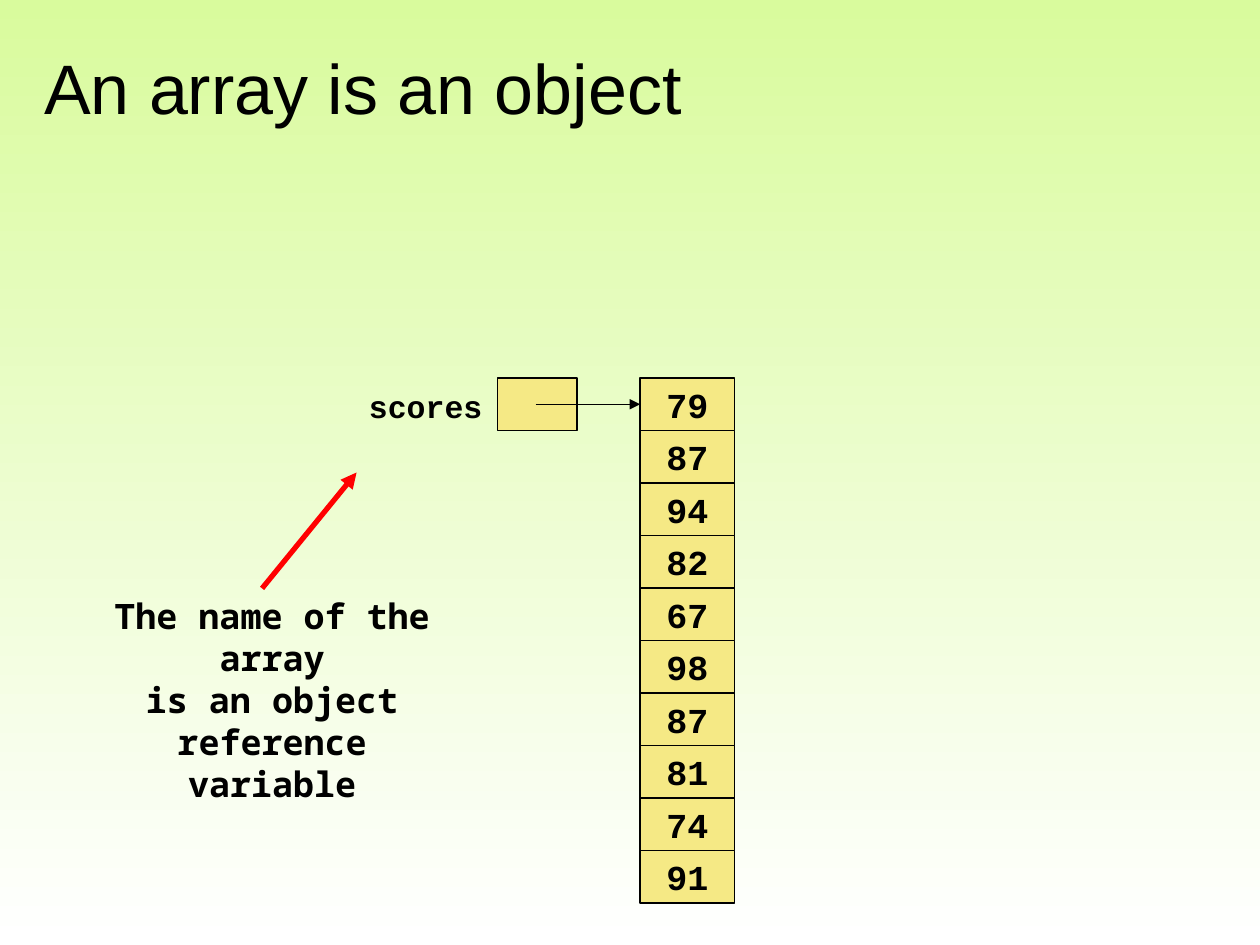
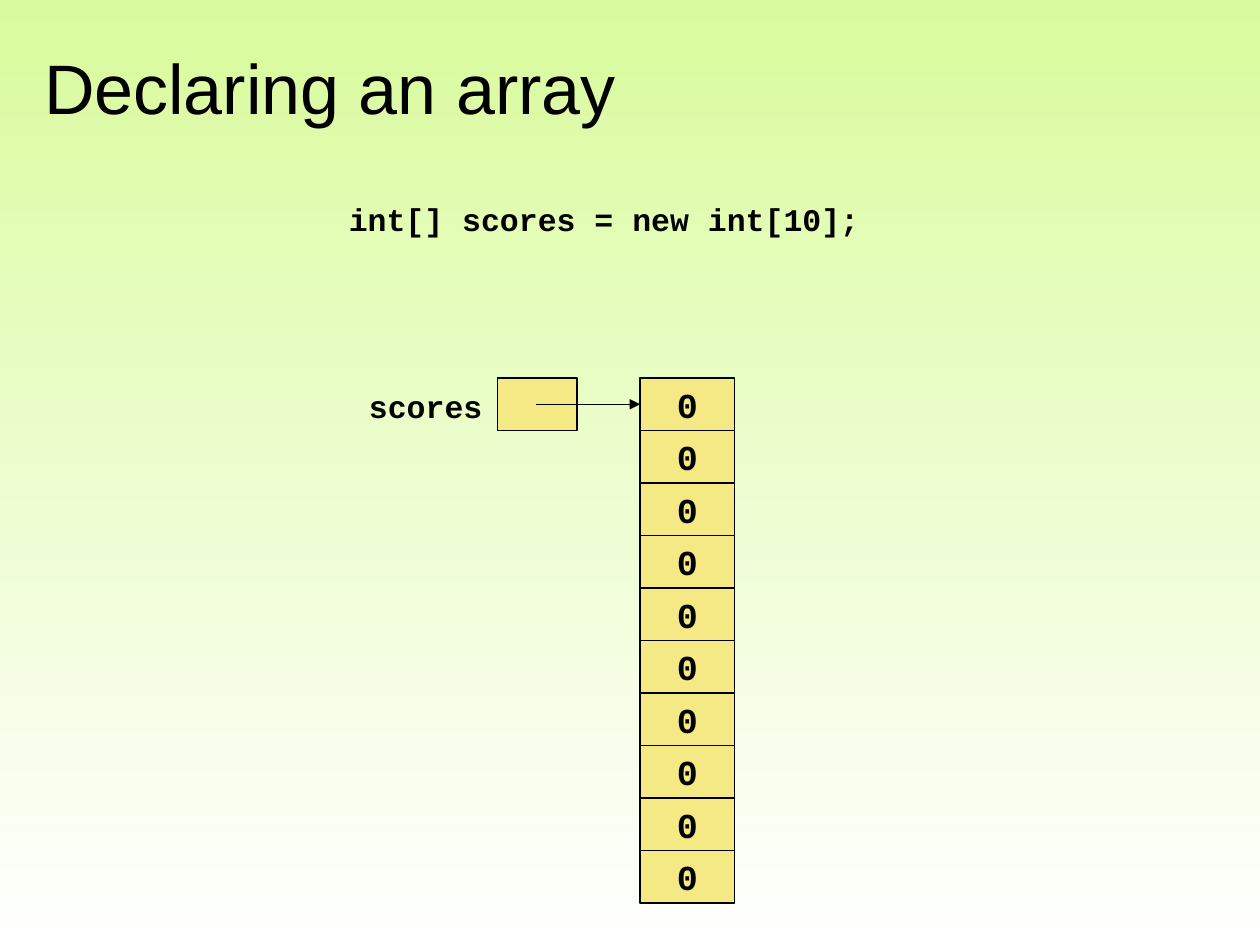
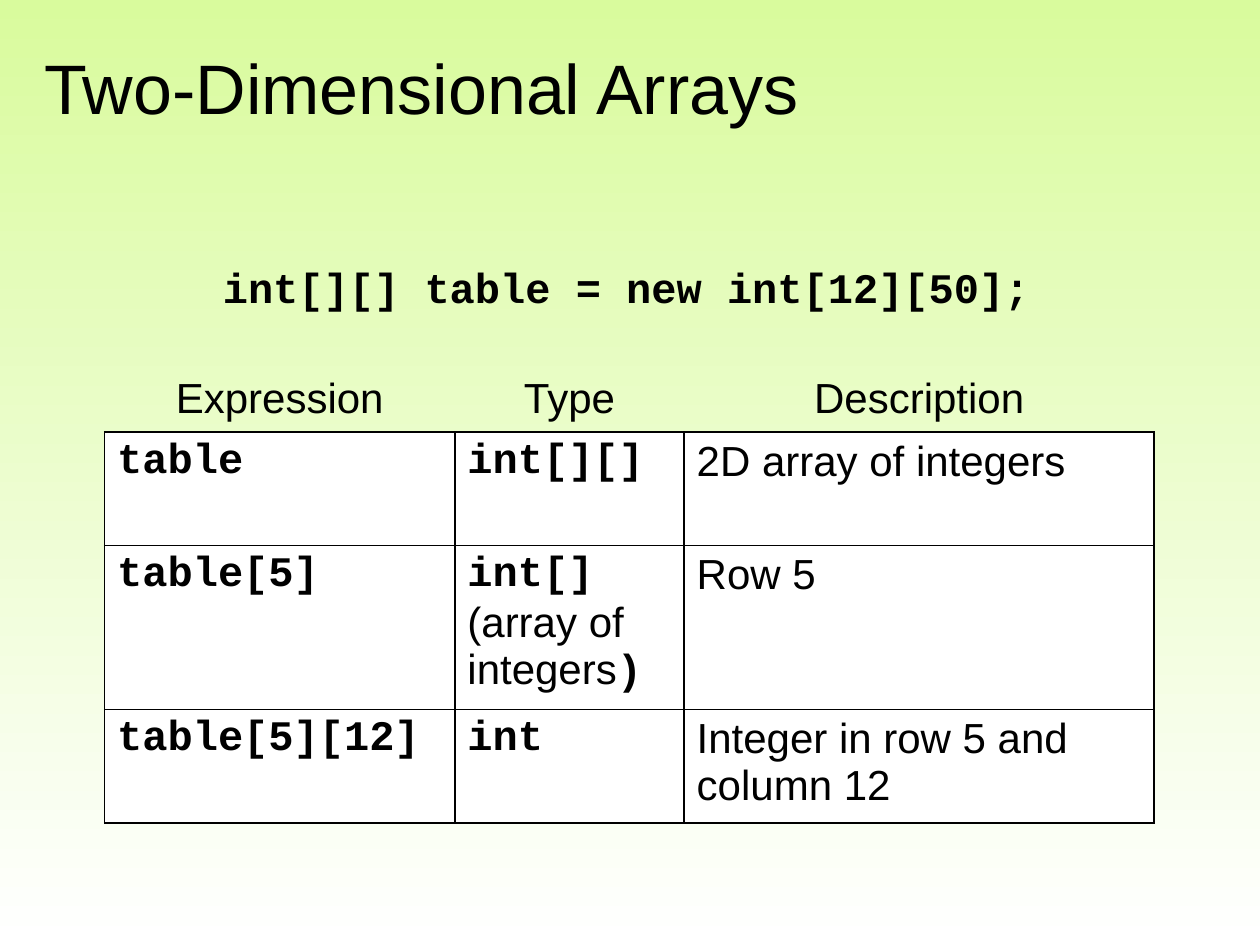
from lxml.etree import SubElement
from pptx import Presentation
from pptx.dml.color import RGBColor
from pptx.enum.shapes import MSO_CONNECTOR as CONNECTOR, MSO_SHAPE as SHAPE
from pptx.enum.text import MSO_ANCHOR as ANCHOR, MSO_AUTO_SIZE as AUTO_SIZE, PP_ALIGN as ALIGN
from pptx.oxml.ns import qn
from pptx.util import Inches, Pt

BLACK = RGBColor(0x00, 0x00, 0x00)
WHITE = RGBColor(0xFF, 0xFF, 0xFF)
RED = RGBColor(0xFF, 0x00, 0x00)
LIME = RGBColor(0xD9, 0xFB, 0x9D)
SAND = RGBColor(0xF5, 0xE9, 0x85)
SANS, CODE, MONO = "Arial", "Courier New", "Noto Sans Mono"


def write(frame, *paragraphs, font=CODE, size=20, align=ALIGN.LEFT, anchor=ANCHOR.TOP, wrap=False):
    """Fill a frame; a paragraph is a string or a list of (text, font) spans. All but Arial is bold."""
    frame.word_wrap = wrap
    frame.vertical_anchor = anchor
    for index, content in enumerate(paragraphs):
        para = frame.add_paragraph() if index else frame.paragraphs[0]
        para.alignment = align
        spans = [(content, font)] if isinstance(content, str) else content
        for text, span_font in spans:
            span = para.add_run()
            span.text = text
            span.font.name = span_font
            span.font.size = Pt(size)
            span.font.bold = span_font != SANS
            span.font.color.rgb = BLACK


def add_arrow(page, start, end, color, width):
    arrow = page.shapes.add_connector(CONNECTOR.STRAIGHT, *start, *end)
    arrow.line.color.rgb = color
    arrow.line.width = Pt(width)
    SubElement(arrow.line._get_or_add_ln(), qn("a:tailEnd"), type="triangle")
    SubElement(arrow._element.spPr, qn("a:effectLst"))
    return arrow


deck = Presentation()
deck.slide_width, deck.slide_height = Inches(10), Inches(7.5)
UNIT = deck.slide_width // 1000
ROW = deck.slide_height // 18
ARRAY_LEFT, ARRAY_TOP = 508 * UNIT, 300 * UNIT

# Shared background
background = deck.slide_master.background.fill
background.gradient()
background.gradient_angle = 270
for stop, position, color in zip(background.gradient_stops, (0, 1), (LIME, WHITE)):
    stop.position = position
    stop.color.rgb = color

# Pages and titles
pages = []
for heading in ("An array is an object", "Declaring an array", "Two-Dimensional Arrays"):
    page = deck.slides.add_slide(deck.slide_layouts[5])
    title = page.shapes.title
    title.left, title.top, title.width, title.height = 25 * UNIT, 30 * UNIT, 950 * UNIT, 78 * UNIT
    write(title.text_frame, heading, font=SANS, size=40, anchor=ANCHOR.MIDDLE, wrap=True)
    title.text_frame.auto_size = AUTO_SIZE.NONE
    pages.append(page)
object_page, declaring_page, table_page = pages

# The scores variable and the array it refers to
scores = (79, 87, 94, 82, 67, 98, 87, 81, 74, 91)
for page, values in ((object_page, scores), (declaring_page, [0] * 10)):
    boxes = [page.shapes.add_shape(SHAPE.RECTANGLE, 395 * UNIT, ARRAY_TOP, 63 * UNIT, ROW)]
    for index, value in enumerate(values):
        box = page.shapes.add_shape(
            SHAPE.RECTANGLE, ARRAY_LEFT, ARRAY_TOP + index * ROW, 75 * UNIT, ROW)
        write(box.text_frame, str(value), align=ALIGN.CENTER, anchor=ANCHOR.MIDDLE)
        boxes.append(box)
    for box in boxes:
        box.shadow.inherit = False
        box.fill.solid()
        box.fill.fore_color.rgb = SAND
        box.line.color.rgb = BLACK
        box.line.width = Pt(0.75)
    label = page.shapes.add_textbox(283 * UNIT, 302 * UNIT, 110 * UNIT, 40 * UNIT)
    write(label.text_frame, "scores", size=18)
    middle = ARRAY_TOP + ROW // 2
    reference = add_arrow(page, (425 * UNIT, middle), (ARRAY_LEFT, middle), BLACK, 0.75)
    reference.end_connect(boxes[1], 1)

# Remark on the array name
remark = object_page.shapes.add_textbox(67 * UNIT, 467 * UNIT, 298 * UNIT, 111 * UNIT)
write(remark.text_frame, "The name of the array", "is an object reference", "variable",
      font=MONO, align=ALIGN.CENTER, wrap=True)
add_arrow(object_page, (208 * UNIT, 467 * UNIT), (283 * UNIT, 375 * UNIT), RED, 3)

# Declarations
for page, code, size, left, top, width, height in (
        (declaring_page, "int[] scores = new int[10];", 18, 267, 154, 427, 40),
        (table_page, "int[][] table = new int[12][50];", 24, 167, 203, 665, 91)):
    declaration = page.shapes.add_textbox(left * UNIT, top * UNIT, width * UNIT, height * UNIT)
    write(declaration.text_frame, code, size=size)

# Table of expressions
rows = (
    (["Expression"], ["Type"], ["Description"]),
    (["table"], ["int[][]"], ["2D array of integers"]),
    (["table[5]"], ["int[]", [("(array of integers", SANS), (")", CODE)]], ["Row 5"]),
    (["table[5][12]"], ["int"], ["Integer in row 5 and column 12"]),
)
column_widths, row_heights = (278, 182, 373), (50, 90, 125, 85)
table = table_page.shapes.add_table(
    len(rows), len(column_widths), 83 * UNIT, 293 * UNIT,
    sum(column_widths) * UNIT, sum(row_heights) * UNIT).table
table.first_row = table.horz_banding = False
for column, width in zip(table.columns, column_widths):
    column.width = width * UNIT
for row_index, (row, height) in enumerate(zip(rows, row_heights)):
    table.rows[row_index].height = height * UNIT
    is_header = row_index == 0
    for column_index, paragraphs in enumerate(row):
        cell = table.cell(row_index, column_index)
        write(cell.text_frame, *paragraphs, size=24, wrap=True,
              font=SANS if is_header or column_index == 2 else CODE,
              align=ALIGN.CENTER if is_header else ALIGN.LEFT)
        for side in "LRTB":
            border = SubElement(cell._tc.get_or_add_tcPr(), qn(f"a:ln{side}"), w=str(Pt(1)))
            if is_header and side != "B":
                SubElement(border, qn("a:noFill"))
            else:
                SubElement(SubElement(border, qn("a:solidFill")), qn("a:srgbClr"), val=str(BLACK))
        if is_header:
            cell.fill.background()
        else:
            cell.fill.solid()
            cell.fill.fore_color.rgb = WHITE

deck.save("out.pptx")
